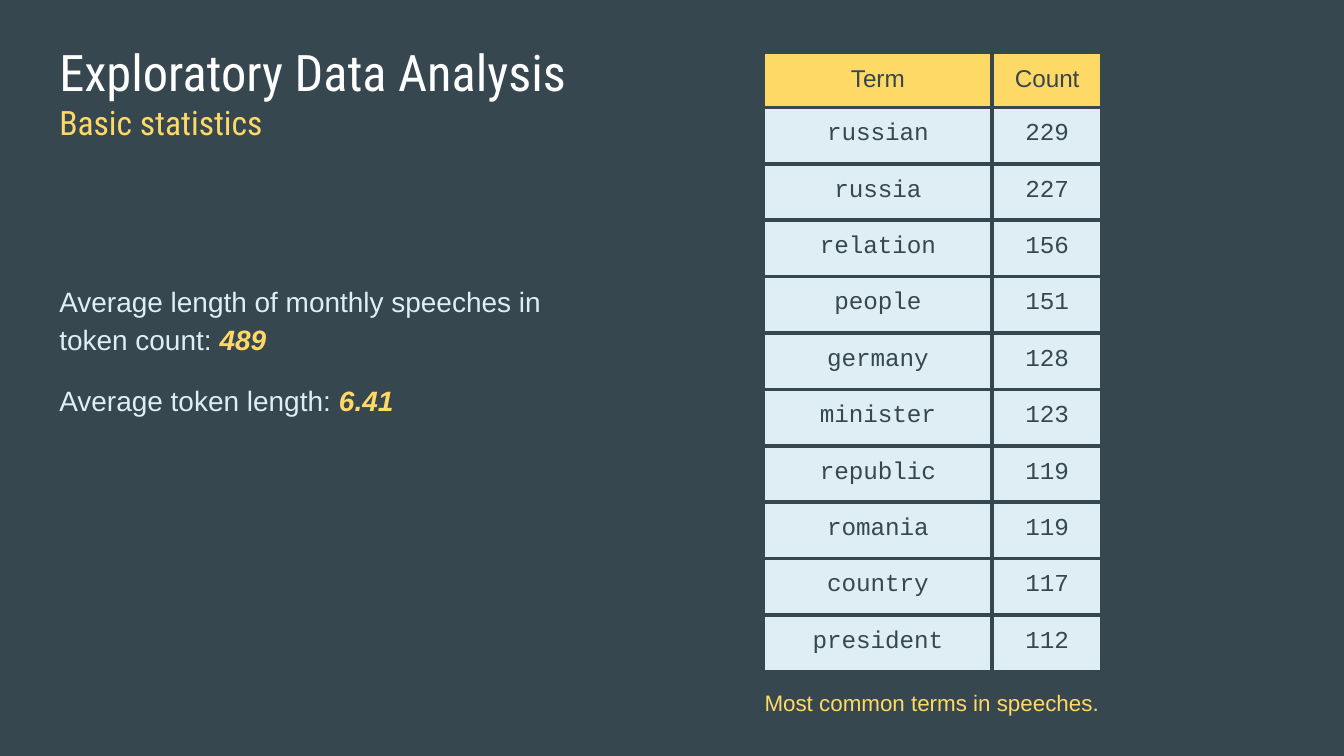
from pptx import Presentation
from pptx.dml.color import RGBColor
from pptx.enum.text import MSO_ANCHOR as Anchor, MSO_AUTO_SIZE as AutoSize, PP_ALIGN as Align
from pptx.oxml.ns import qn
from pptx.util import Cm, Pt
from lxml.etree import SubElement

SLATE = RGBColor(0x37, 0x47, 0x4F)
YELLOW = RGBColor(0xFF, 0xD9, 0x66)
ICE = RGBColor(0xDF, 0xEE, 0xF5)
WHITE = RGBColor(0xFF, 0xFF, 0xFF)
INSET = Cm(0.25)

TERMS = [
    ("russian", 229), ("russia", 227), ("relation", 156), ("people", 151),
    ("germany", 128), ("minister", 123), ("republic", 119), ("romania", 119),
    ("country", 117), ("president", 112),
]
STATISTICS = [
    ("Average length of monthly speeches in token count: ", "489"),
    ("Average token length: ", "6.41"),
]


def set_attrs(obj, values):
    for name, value in values.items():
        setattr(obj, name, value)


def add_run(p, text, color, **font):
    r = p.add_run()
    r.text = text
    set_attrs(r.font, font)
    r.font.color.rgb = color


def prepare_frame(sp, box):
    """Place a text shape in its box and return its text frame."""
    set_attrs(sp, dict(zip(("left", "top", "width", "height"), box)))
    tf = sp.text_frame
    set_attrs(tf, {
        "word_wrap": True, "auto_size": AutoSize.NONE, "vertical_anchor": Anchor.TOP,
        "margin_left": INSET, "margin_right": INSET,
        "margin_top": INSET, "margin_bottom": INSET,
    })
    return tf


def next_paragraph(tf, index, **values):
    p = tf.add_paragraph() if index else tf.paragraphs[0]
    set_attrs(p, values)
    return p


def fill_title(sp, box):
    tf = prepare_frame(sp, box)
    lines = [("Exploratory Data Analysis", WHITE, 27), ("Basic statistics", YELLOW, 18)]
    for i, (text, color, size) in enumerate(lines):
        p = next_paragraph(tf, i, alignment=Align.LEFT, space_before=Pt(0))
        add_run(p, text, color, name="Roboto Condensed", size=Pt(size))


def fill_statistics(sp, box):
    tf = prepare_frame(sp, box)
    for i, (label, value) in enumerate(STATISTICS):
        p = next_paragraph(tf, i, line_spacing=1.15, space_before=Pt(12 * i))
        # Plain text without the template's bullet
        pPr = p._p.get_or_add_pPr()
        pPr.set("marL", "0")
        pPr.set("indent", "0")
        SubElement(pPr, qn("a:buNone"))
        add_run(p, label, ICE, name="Arial", size=Pt(15))
        add_run(p, value, YELLOW, name="Arial", size=Pt(15), bold=True, italic=True)


def add_borders(cell, color, width):
    tcPr = cell._tc.get_or_add_tcPr()
    for side in ("a:lnL", "a:lnR", "a:lnT", "a:lnB"):
        ln = SubElement(tcPr, qn(side), w=str(width))
        SubElement(SubElement(ln, qn("a:solidFill")), qn("a:srgbClr"), val=str(color))


def add_term_table(slide, box):
    left, top, width, height = box
    rows = [("Term", "Count")] + TERMS
    table = slide.shapes.add_table(len(rows), 2, left, top, width, height).table
    set_attrs(table, {"first_row": False, "horz_banding": False})
    term_width, header_height = Cm(4.32), Cm(1.04)
    table.columns[0].width = term_width
    table.columns[1].width = width - term_width
    for i, row in enumerate(rows):
        table.rows[i].height = (height - header_height) // len(TERMS) if i else header_height
        for j, value in enumerate(row):
            cell = table.cell(i, j)
            set_attrs(cell, {"margin_left": INSET, "margin_right": INSET,
                             "margin_top": INSET, "margin_bottom": INSET})
            add_borders(cell, SLATE, Pt(2.25))
            cell.fill.solid()
            cell.fill.fore_color.rgb = ICE if i else YELLOW
            p = cell.text_frame.paragraphs[0]
            p.alignment = Align.CENTER
            add_run(p, str(value), SLATE, name="Courier New" if i else "Arial", size=Pt(13))


def add_caption(slide, box):
    tf = prepare_frame(slide.shapes.add_textbox(*box), box)
    p = next_paragraph(tf, 0, line_spacing=1.15, space_after=Pt(12))
    add_run(p, "Most common terms in speeches.", YELLOW, name="Arial", size=Pt(12))


def main():
    prs = Presentation()
    prs.slide_width, prs.slide_height = Cm(25.4), Cm(14.29)
    slide = prs.slides.add_slide(prs.slide_layouts[1])
    slide.background.fill.solid()
    slide.background.fill.fore_color.rgb = SLATE

    # Heading and statistics on the left
    fill_title(slide.shapes.title, (Cm(0.87), Cm(0.53), Cm(23.67), Cm(2.46)))
    fill_statistics(slide.placeholders[1], (Cm(0.87), Cm(5.03), Cm(9.8), Cm(5.82)))

    # Term counts with caption on the right
    add_term_table(slide, (Cm(14.43), Cm(0.99), Cm(6.4), Cm(11.7)))
    add_caption(slide, (Cm(14.2), Cm(12.7), Cm(7.01), Cm(1.02)))

    prs.save("out.pptx")


if __name__ == "__main__":
    main()
